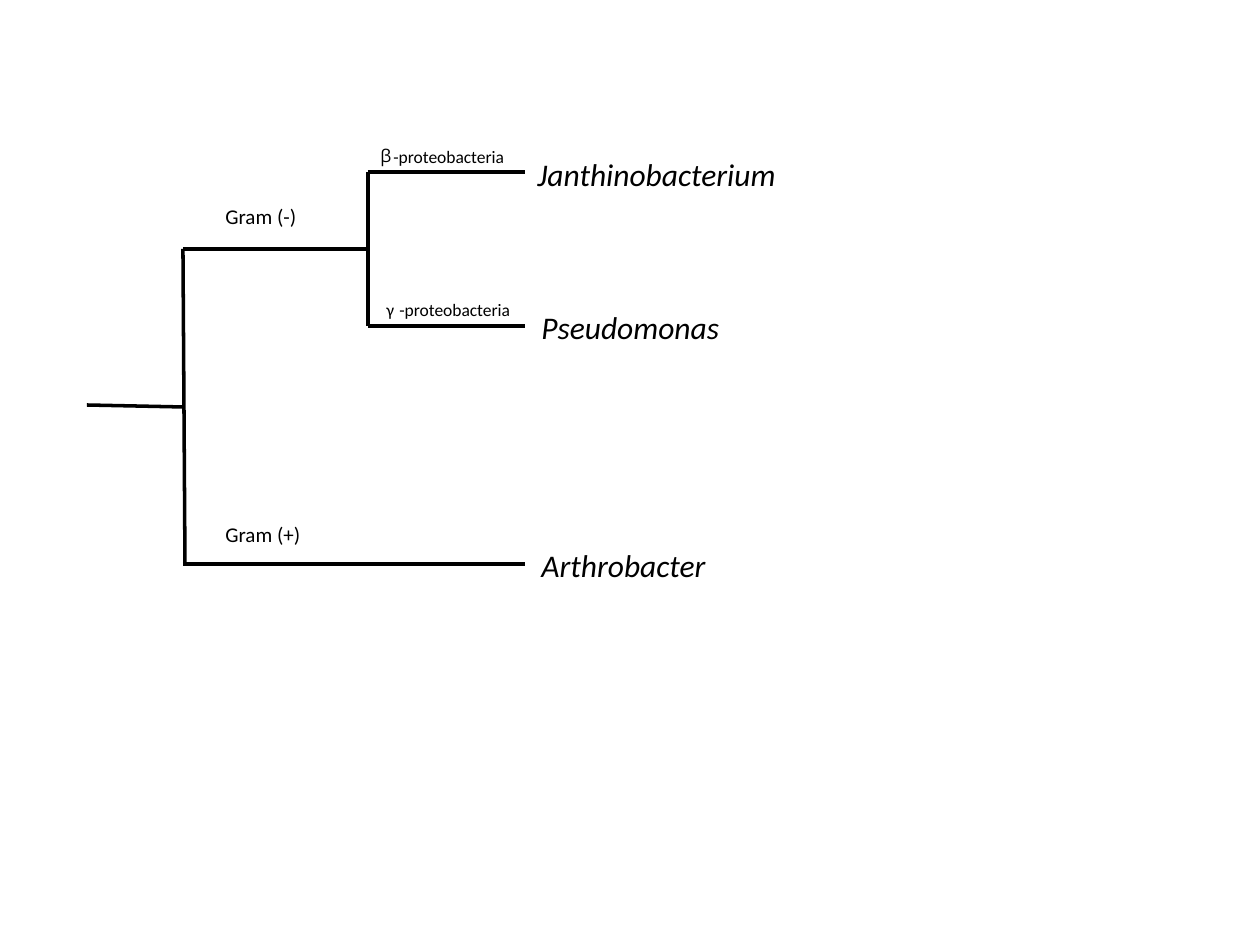
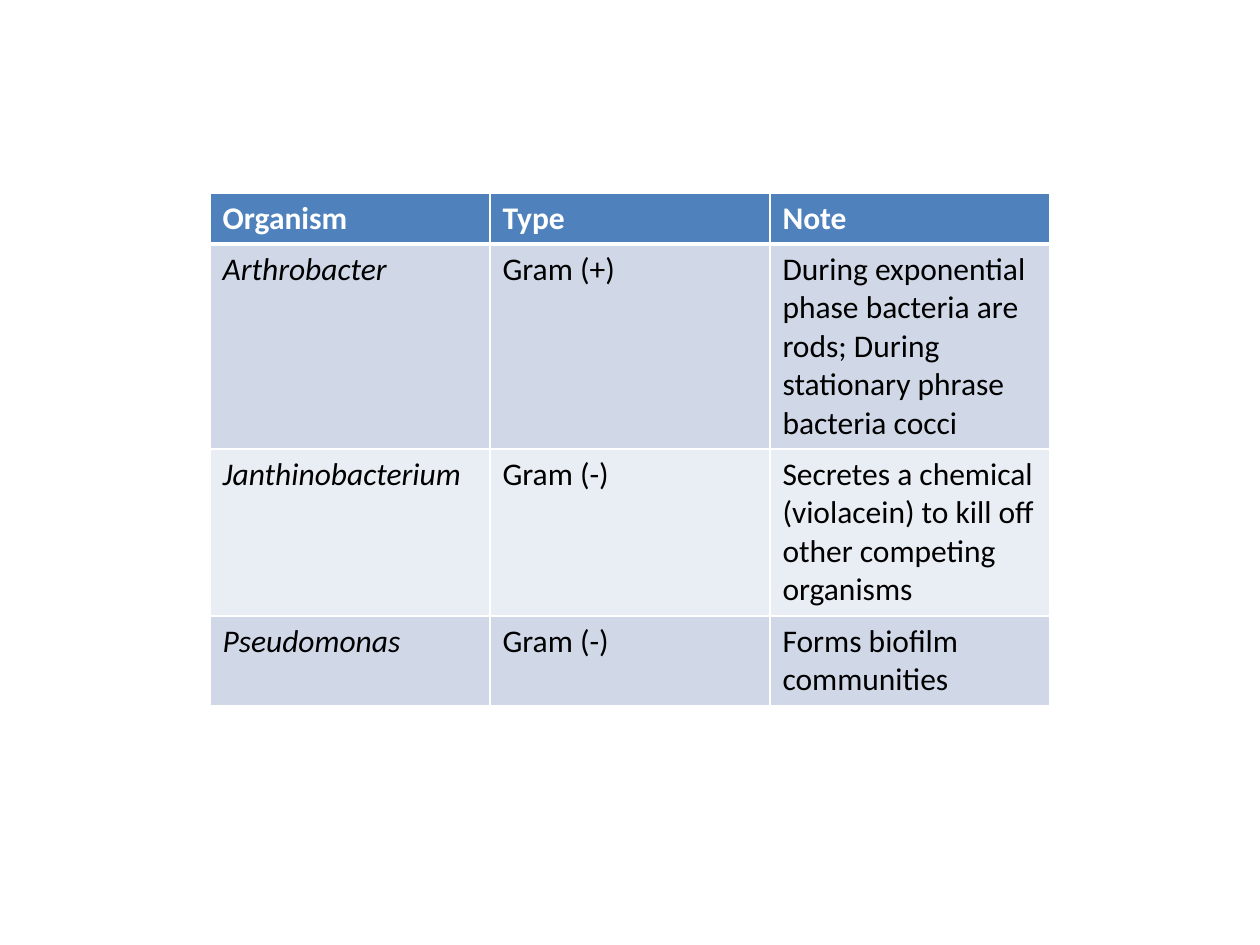
from lxml import etree
from pptx import Presentation
from pptx.dml.color import RGBColor
from pptx.enum.shapes import MSO_CONNECTOR
from pptx.enum.text import MSO_AUTO_SIZE
from pptx.oxml.ns import qn
from pptx.util import Emu, Pt

STRAIGHT = MSO_CONNECTOR.STRAIGHT
GROW = MSO_AUTO_SIZE.SHAPE_TO_FIT_TEXT
PIXEL = Emu(914400 // 126)
BLACK, WHITE = "000000", "FFFFFF"
HEADER, BAND_DARK, BAND_LIGHT = "4F81BD", "D0D8E8", "E9EDF4"
FONT = "Calibri"


def color(code):
    """Turn a hex string into a colour."""
    return RGBColor.from_string(code)


def add_span(frame, text, size, code=BLACK, bold=False, italic=False, font=FONT):
    """Add one formatted run to the first paragraph of a text frame."""
    span = frame.paragraphs[0].add_run()
    span.text = text
    span.font.name = font
    span.font.size = Pt(size)
    span.font.color.rgb = color(code)
    span.font.bold = bold
    span.font.italic = italic


deck = Presentation()
deck.slide_width, deck.slide_height = 1260 * PIXEL, 945 * PIXEL
blank = deck.slide_layouts[6]

# Slide 1: phylogenetic tree
page = deck.slides.add_slide(blank)
tree = page.shapes.add_group_shape()

root_x, gram_x, proteo_x, tip_x = 87, 183, 368, 525
beta_y, negative_y, gamma_y, root_y, positive_y = 172, 249, 326, 406, 564
branches = [
    (root_x, root_y - 1, gram_x, root_y + 1),
    (gram_x, negative_y, gram_x + 2, positive_y),
    (gram_x, positive_y, tip_x, positive_y),
    (gram_x, negative_y, proteo_x, negative_y),
    (proteo_x, beta_y, proteo_x, gamma_y),
    (proteo_x, beta_y, tip_x, beta_y),
    (proteo_x, gamma_y, tip_x, gamma_y),
]
for ends in branches:
    branch = tree.shapes.add_connector(STRAIGHT, *(end * PIXEL for end in ends))
    branch.line.color.rgb = color(BLACK)
    branch.line.width = Pt(2)
    etree.SubElement(branch._element.spPr, qn("a:effectLst"))

# text, left, top, width, height, size, italic, font
labels = [
    ("Janthinobacterium", 525, 149, 273, 51, 18, True, FONT),
    ("Pseudomonas", 529, 302, 265, 51, 18, True, FONT),
    ("Arthrobacter", 529, 540, 247, 51, 18, True, FONT),
    ("Gram (+)", 213, 515, 117, 38, 12, False, FONT),
    ("Gram (-)", 213, 197, 117, 38, 12, False, FONT),
    ("β", 368, 139, 42, 34, 10, False, "Open Sans"),
    ("-proteobacteria", 381, 140, 234, 34, 10, False, FONT),
    ("γ", 374, 293, 38, 34, 10, False, FONT),
    ("-proteobacteria", 387, 293, 145, 34, 10, False, FONT),
]
for text, left, top, width, height, size, italic, font in labels:
    box = tree.shapes.add_textbox(
        left * PIXEL, top * PIXEL, width * PIXEL, height * PIXEL)
    box.text_frame.word_wrap = True
    box.text_frame.auto_size = GROW
    add_span(box.text_frame, text, size, italic=italic, font=font)

# Slide 2: table of organisms
page = deck.slides.add_slide(blank)
rows = [
    ("Organism", "Type", "Note"),
    ("Arthrobacter", "Gram (+)",
     "During exponential phase bacteria are rods; "
     "During stationary phrase bacteria cocci"),
    ("Janthinobacterium", "Gram (-)",
     "Secretes a chemical (violacein) to kill off other competing organisms"),
    ("Pseudomonas", "Gram (-)", "Forms biofilm communities"),
]
row_heights = [51, 205, 167, 89]
column_width = 280
table = page.shapes.add_table(
    len(rows), 3, 210 * PIXEL, 193 * PIXEL,
    3 * column_width * PIXEL, sum(row_heights) * PIXEL).table
for column in table.columns:
    column.width = column_width * PIXEL

for row_index, texts in enumerate(rows):
    table.rows[row_index].height = row_heights[row_index] * PIXEL
    is_header = row_index == 0
    band = BAND_DARK if row_index % 2 else BAND_LIGHT
    for column_index, text in enumerate(texts):
        cell = table.cell(row_index, column_index)
        add_span(cell.text_frame, text, 18, WHITE if is_header else BLACK,
                 bold=is_header, italic=not is_header and column_index == 0)
        properties = cell._tc.get_or_add_tcPr()
        for side in ("lnL", "lnR", "lnT", "lnB"):
            under_header = (row_index, side) in ((0, "lnB"), (1, "lnT"))
            border = etree.SubElement(properties, qn("a:" + side),
                                      w=str(Pt(3 if under_header else 1)))
            fill = etree.SubElement(border, qn("a:solidFill"))
            etree.SubElement(fill, qn("a:srgbClr"), val=WHITE)
        cell.fill.solid()
        cell.fill.fore_color.rgb = color(HEADER if is_header else band)

deck.save("out.pptx")
